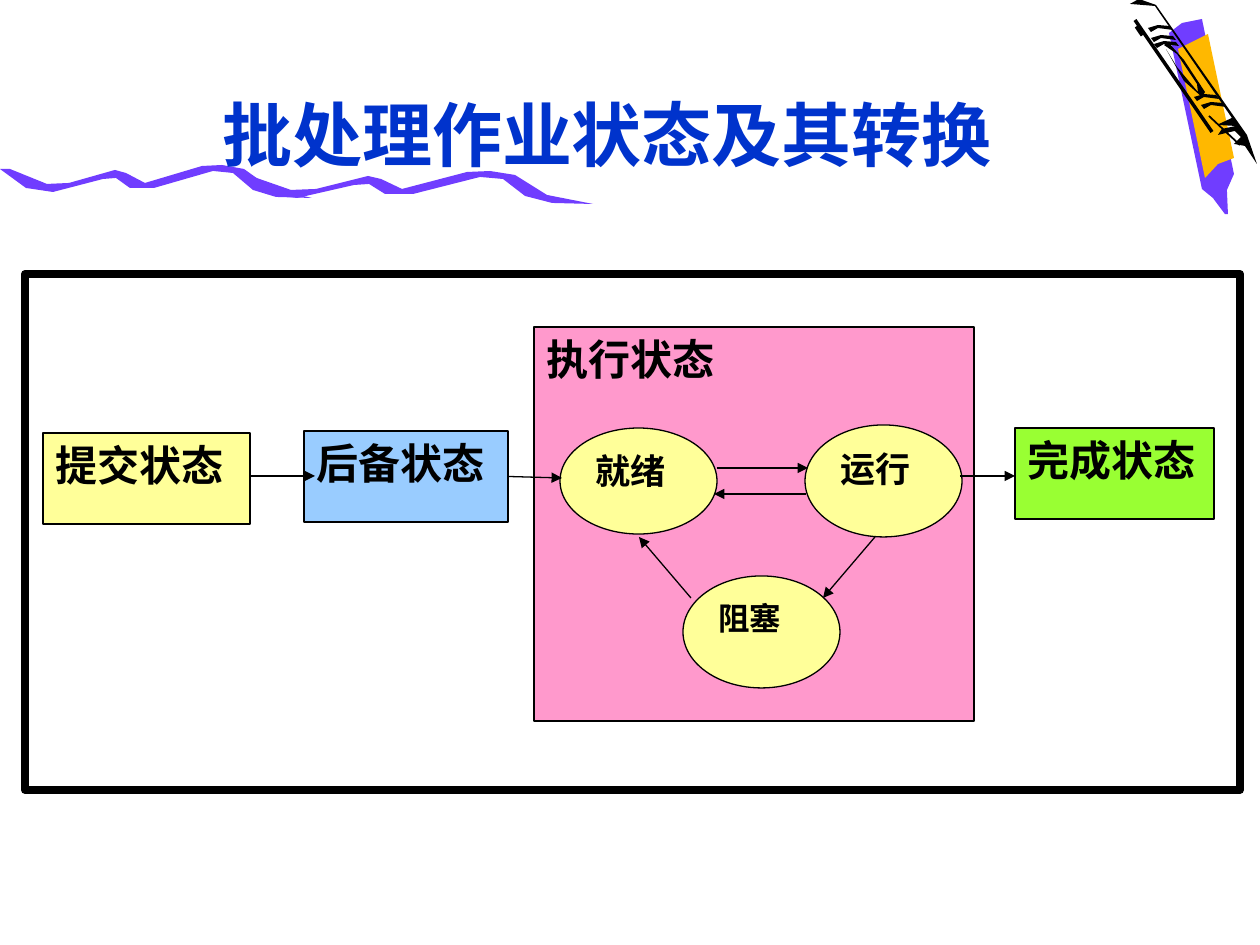
from lxml import etree
from pptx import Presentation, util as u
from pptx.dml.color import RGBColor
from pptx.enum import shapes, text
from pptx.oxml.ns import qn

PX = 914400 / 126
COLORS = {"purple": "703DFF", "gold": "FFB800", "black": "000000", "title": "0033CC",
          "pink": "FF99CC", "yellow": "FFFF99", "blue": "99CCFF", "green": "99FF33"}
CJK = "Noto Sans CJK SC"

TITLE = ("批处理作业状态及其转换", (134, 66, 946, 116))
FRAME = (25, 274, 1215, 516)
BOX, OVAL = (204, 91), (157, 112)
STATES = [
    ("执行状态", "RECTANGLE", (534, 327), (440, 394), "pink", 24),
    ("就绪", "OVAL", (560, 428), (157, 106), "yellow", 20),
    ("运行", "OVAL", (805, 425), OVAL, "yellow", 20),
    ("阻塞", "OVAL", (683, 576), OVAL, "yellow", 18),
    ("后备状态", "RECTANGLE", (304, 431), BOX, "blue", 24),
    ("提交状态", "RECTANGLE", (43, 433), (207, 91), "yellow", 24),
    ("完成状态", "RECTANGLE", (1015, 428), (199, 91), "green", 24),
]
ARROWS = [
    ((508, 476), (562, 478), "后备状态"),
    ((250, 476), (315, 476), None),
    ((717, 468), (808, 468), None),
    ((806, 494), (714, 494), None),
    ((875, 537), (823, 598), None),
    ((691, 598), (639, 537), None),
    ((960, 476), (1015, 476), None),
]

PENCIL = [
    ("purple", [(1169, 33), (1202, 189), (1213, 198), (1225, 214), (1228, 214), (1227, 190),
                (1234, 174), (1202, 19), (1182, 23)]),
    ("gold", [(1205, 178), (1218, 164), (1234, 158), (1208, 34), (1178, 49)]),
]
WAVE = [(10, 169), (47, 184), (69, 183), (115, 170), (126, 173), (145, 183), (202, 166),
        (222, 165), (244, 169), (272, 189), (312, 198), (276, 197), (253, 190), (233, 173),
        (213, 171), (154, 188), (130, 188), (116, 178), (103, 179), (53, 192), (26, 188),
        (0, 169)]
WAVE_PLACES = [(0, 0, 1), (237, 6, 1.14)]
SKETCH = [
    [(1166, 49), (1184, 81), (1202, 97), (1205, 92), (1184, 60), (1168, 42), (1164, 45),
     (1177, 54), (1197, 84), (1198, 92), (1177, 67)],
    [(1218, 135), (1222, 129), (1236, 126), (1217, 125), (1232, 118), (1155, 6), (1130, 4),
     (1139, -1), (1156, 5), (1247, 135), (1257, 164), (1245, 146), (1234, 144), (1241, 137),
     (1235, 131)],
]
TICK = [(0, 0), (3, 4), (10, 0), (25, 2), (22, -2), (10, -3)]
TICK_PLACES = [(1201, 105), (1194, 97), (1154, 44), (1151, 38), (1148, 28)]
STROKES = [((1137, 26), (1143, 35), 3), ((1135, 20), (1212, 132), 2),
           ((1209, 116), (1240, 145), 1)]


def emu(values):
    return [round(v * PX) for v in values]


def rgb(name):
    return RGBColor.from_string(COLORS[name])


def paint(sp, fill=None, line=None):
    sp.shadow.inherit = False
    if fill:
        sp.fill.solid()
        sp.fill.fore_color.rgb = rgb(fill)
    else:
        sp.fill.background()
    if line:
        sp.line.color.rgb = rgb("black")
        sp.line.width = u.Pt(line)
    else:
        sp.line.fill.background()


def outline(s, color, points, dx=0, dy=0, stretch=1):
    placed = [(round(dx + x * stretch), dy + y) for x, y in points]
    fb = s.shapes.build_freeform(*placed[0], scale=PX)
    fb.add_line_segments(placed[1:], close=True)
    paint(fb.convert_to_shape(), color)


def write(sp, words, size, font, color, align, anchor):
    tf = sp.text_frame
    tf.word_wrap = True
    tf.vertical_anchor = anchor
    p = tf.paragraphs[0]
    p.alignment = align
    r = p.add_run()
    r.text = words
    for key, value in {"size": u.Pt(size), "bold": True, "name": font}.items():
        setattr(r.font, key, value)
    r.font.color.rgb = rgb(color)
    etree.SubElement(r._r.get_or_add_rPr(), qn("a:ea")).set("typeface", CJK)


def connect(s, start, end, width, arrow=False):
    c = s.shapes.add_connector(shapes.MSO_CONNECTOR.STRAIGHT, *emu(start + end))
    c.line.color.rgb = rgb("black")
    c.line.width = u.Pt(width)
    if arrow:
        etree.SubElement(c.line._get_or_add_ln(), qn("a:tailEnd")).set("type", "triangle")
    etree.SubElement(c._element.spPr, qn("a:effectLst"))
    return c


def main():
    prs = Presentation()
    prs.slide_width, prs.slide_height = u.Inches(10), u.Inches(7.5)
    s = prs.slides.add_slide(prs.slide_layouts[6])

    for color, points in PENCIL:
        outline(s, color, points)
    for place in WAVE_PLACES:
        outline(s, "purple", WAVE, *place)
    for points in SKETCH:
        outline(s, "black", points)
    for place in TICK_PLACES:
        outline(s, "black", TICK, *place)
    for stroke in STROKES:
        connect(s, *stroke)

    words, box = TITLE
    write(s.shapes.add_textbox(*emu(box)), words, 40, "Comic Neue", "title",
          text.PP_ALIGN.CENTER, text.MSO_ANCHOR.BOTTOM)

    paint(s.shapes.add_shape(shapes.MSO_SHAPE.RECTANGLE, *emu(FRAME)), line=4.5)
    states = {}
    for words, kind, place, extent, color, size in STATES:
        sp = s.shapes.add_shape(getattr(shapes.MSO_SHAPE, kind), *emu(place + extent))
        paint(sp, color, 0.75)
        write(sp, words, size, CJK, "black", text.PP_ALIGN.JUSTIFY, text.MSO_ANCHOR.TOP)
        states[words] = sp

    for start, end, source in ARROWS:
        c = connect(s, start, end, 0.75, True)
        if source:
            c.begin_connect(states[source], 3)

    prs.save("out.pptx")


if __name__ == "__main__":
    main()
